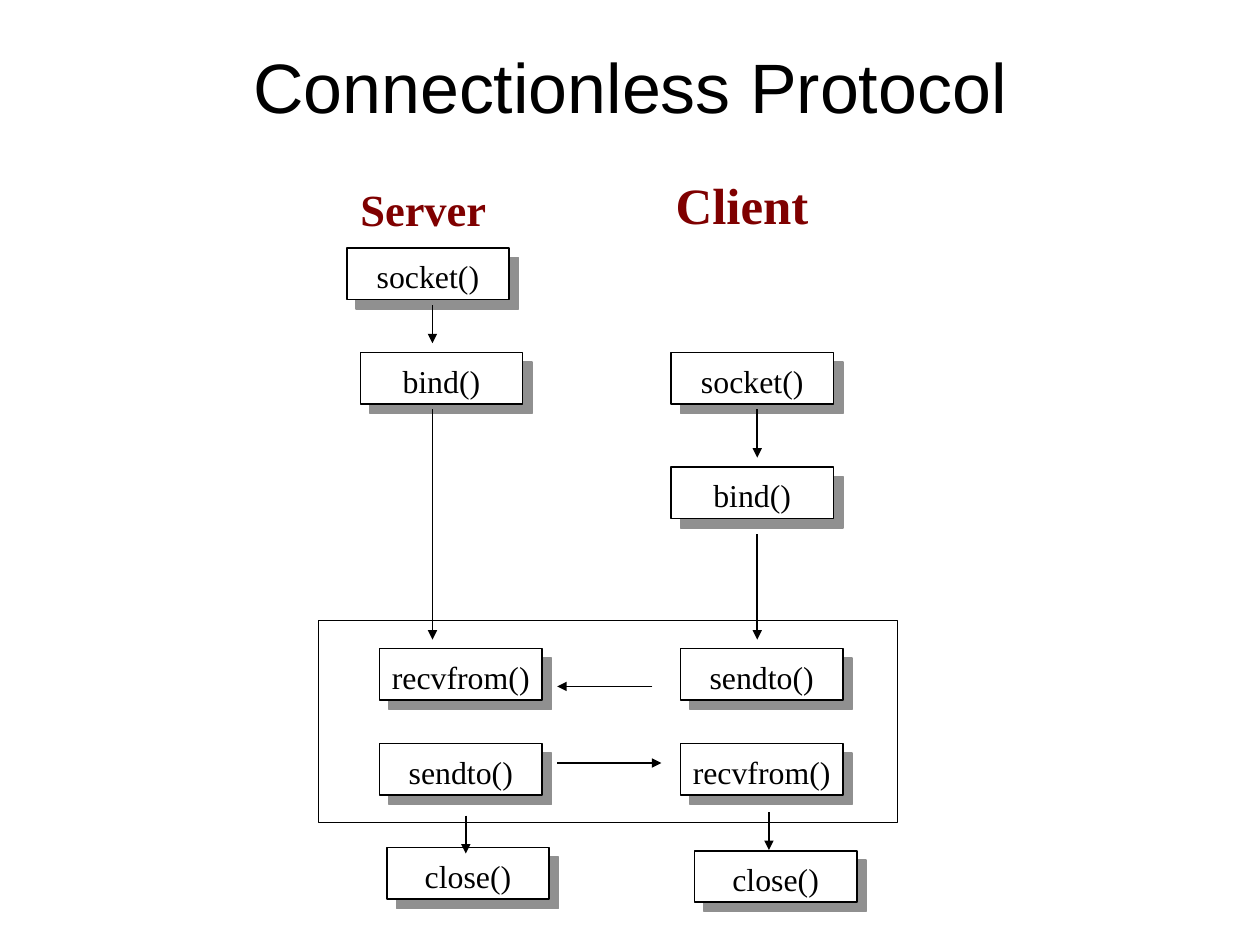
from dataclasses import dataclass

from lxml.etree import SubElement
from pptx import Presentation
from pptx.dml.color import RGBColor
from pptx.enum.shapes import MSO_CONNECTOR as Connector, MSO_SHAPE as Preset
from pptx.enum.text import MSO_ANCHOR as Anchor, PP_ALIGN as Align
from pptx.oxml.ns import qn
from pptx.util import Cm, Pt


@dataclass(frozen=True)
class Theme:
    """Colours, fonts and sizes of the slide."""
    ink: RGBColor = RGBColor(0, 0, 0)
    paper: RGBColor = RGBColor(255, 255, 255)
    shade: RGBColor = RGBColor(0x90, 0x90, 0x90)
    accent: RGBColor = RGBColor(0x7F, 0, 0)
    title_font: str = "Arial"
    body_font: str = "Times New Roman"
    title_size: int = 44
    step_size: int = 20
    line: float = 1
    frame_line: float = 0.25


@dataclass(frozen=True)
class Box:
    """A region in centimetres."""
    left: float
    top: float
    width: float
    height: float

    def inner(self, left, top, width, height):
        """Return a box placed relative to this one."""
        return Box(self.left + left, self.top + top, width, height)

    def lengths(self):
        """Return position and size as lengths."""
        return Cm(self.left), Cm(self.top), Cm(self.width), Cm(self.height)


THEME = Theme()
STEP_WIDTH, STEP_HEIGHT = 3.6, 1.14
SHADOW_OFFSET = 0.21


def write(shape, text, size, font, color, align=Align.CENTER,
          anchor=Anchor.TOP, inset=0, bold=False):
    """Set one line of text in a shape."""
    frame = shape.text_frame
    frame.word_wrap = True
    frame.margin_left = frame.margin_right = frame.margin_bottom = 0
    frame.margin_top = Cm(inset)
    frame.vertical_anchor = anchor
    paragraph = frame.paragraphs[0]
    paragraph.text = text
    paragraph.alignment = align
    paragraph.font.size = Pt(size)
    paragraph.font.name = font
    paragraph.font.bold = bold
    paragraph.font.color.rgb = color


def add_rectangle(slide, box, line, fill=None, weight=THEME.line):
    """Add a rectangle, hollow unless a fill is given."""
    shape = slide.shapes.add_shape(Preset.RECTANGLE, *box.lengths())
    shape.shadow.inherit = False
    if fill is None:
        shape.fill.background()
    else:
        shape.fill.solid()
        shape.fill.fore_color.rgb = fill
    shape.line.color.rgb = line
    shape.line.width = Pt(weight)
    return shape


def add_arrow(slide, box, start, end):
    """Draw an arrow between two points relative to the box."""
    points = [Cm(value) for x, y in (start, end)
              for value in (box.left + x, box.top + y)]
    arrow = slide.shapes.add_connector(Connector.STRAIGHT, *points)
    arrow.line.color.rgb = THEME.ink
    arrow.line.width = Pt(THEME.line)
    SubElement(arrow.line._get_or_add_ln(), qn("a:tailEnd"), type="triangle")
    SubElement(arrow._element.spPr, qn("a:effectLst"))


def add_title(slide, box, text):
    """Add the slide title."""
    title = slide.shapes.add_textbox(*box.lengths())
    write(title, text, THEME.title_size, THEME.title_font, THEME.ink, inset=0.97)


def add_step(slide, box, text):
    """Add a call box with its offset shadow."""
    shadow = box.inner(SHADOW_OFFSET, SHADOW_OFFSET, box.width, box.height)
    add_rectangle(slide, shadow, THEME.shade, THEME.shade)
    step = add_rectangle(slide, box, THEME.ink, THEME.paper)
    write(step, text, THEME.step_size, THEME.body_font, THEME.ink, inset=0.2)


def add_lane(slide, box, heading, steps, arrows):
    """Add one side of the protocol: heading, calls and downward arrows."""
    name, size, indent = heading
    label = slide.shapes.add_textbox(*box.inner(indent, 0, STEP_WIDTH, 1.32).lengths())
    write(label, name, size, THEME.body_font, THEME.accent, Align.LEFT,
          Anchor.BOTTOM, bold=True)
    for text, left, top in steps:
        add_step(slide, box.inner(left, top, STEP_WIDTH, STEP_HEIGHT), text)
    for x, top, bottom in arrows:
        add_arrow(slide, box, (x, top), (x, bottom))


def add_exchange(slide, box):
    """Frame the data exchange and draw its request and reply."""
    add_rectangle(slide, box, THEME.ink, weight=THEME.frame_line)
    add_arrow(slide, box, (7.42, 1.48), (5.31, 1.48))
    add_arrow(slide, box, (5.31, 3.18), (7.62, 3.18))


def build_slide(presentation):
    """Build the connectionless protocol slide."""
    slide = presentation.slides.add_slide(presentation.slide_layouts[6])
    add_title(slide, Box(2.26, 0, 23.47, 3.76), "Connectionless Protocol")
    add_lane(
        slide, Box(7.7, 3.9, 4.7, 16.3), ("Server", 28, 0.3),
        [("socket()", 0, 1.61), ("bind()", 0.3, 3.93), ("recvfrom()", 0.73, 10.5),
         ("sendto()", 0.73, 12.61), ("close()", 0.89, 14.92)],
        [(1.9, 2.88, 3.72), (1.9, 5.19, 10.3), (2.64, 14.21, 15.05)])
    add_lane(
        slide, Box(14.9, 3.9, 4.4, 16.3), ("Client", 32, 0.1),
        [("socket()", 0, 3.93), ("bind()", 0, 6.47), ("sendto()", 0.21, 10.5),
         ("recvfrom()", 0.21, 12.61), ("close()", 0.52, 14.99)],
        [(1.91, 5.19, 6.26), (1.91, 7.96, 10.3), (2.17, 14.13, 14.97)])
    add_exchange(slide, Box(7.06, 13.76, 12.86, 4.49))


presentation = Presentation()
presentation.slide_width, presentation.slide_height = Cm(27.97), Cm(20.98)
build_slide(presentation)
presentation.save("out.pptx")
